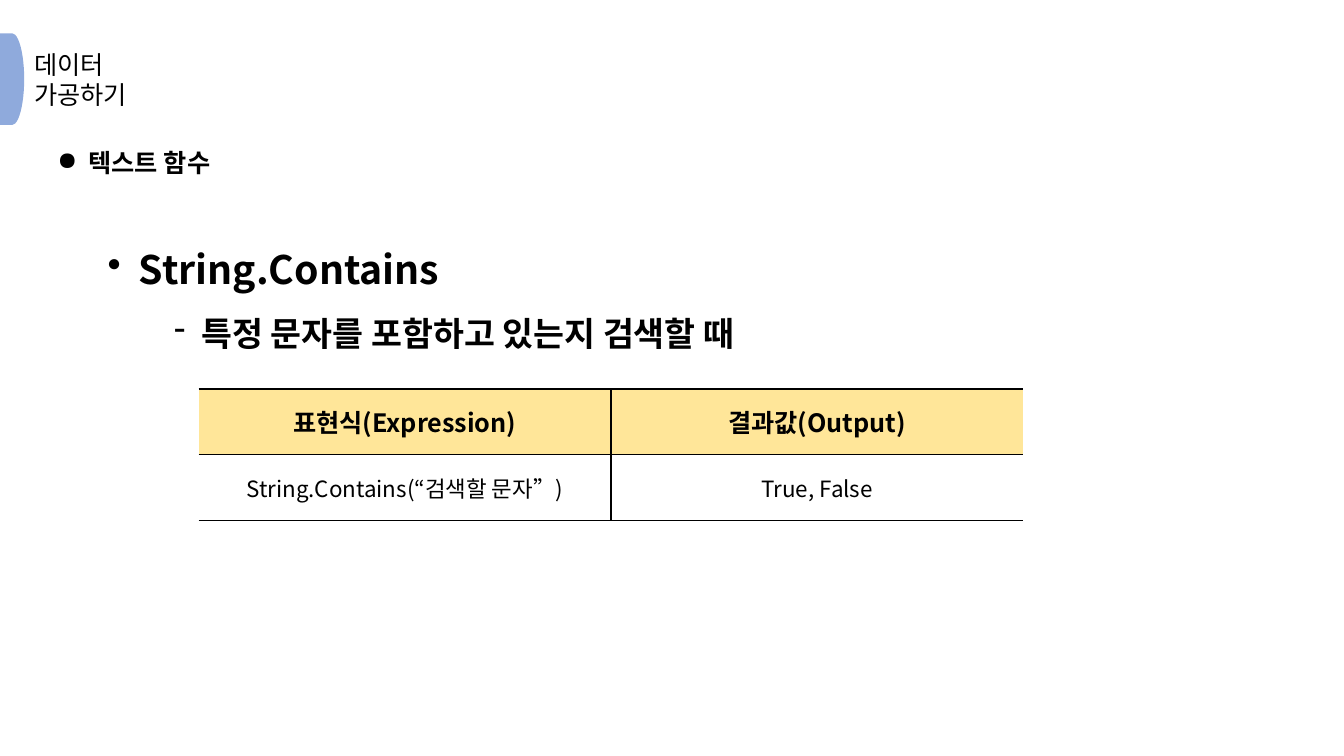
from lxml import etree
from pptx import Presentation
from pptx.dml.color import RGBColor
from pptx.enum.shapes import MSO_SHAPE
from pptx.enum.text import MSO_ANCHOR, PP_ALIGN
from pptx.oxml.ns import qn
from pptx.util import Inches, Pt

LEFT, CENTER = PP_ALIGN.LEFT, PP_ALIGN.CENTER
MIDDLE, TOP = MSO_ANCHOR.MIDDLE, MSO_ANCHOR.TOP
DELAY = MSO_SHAPE.FLOWCHART_DELAY
FONT = "Noto Sans CJK KR"


def color(value):
    return RGBColor.from_string(value)


def style(para, size, bold, align):
    para.alignment = align
    para.font.size = Pt(size)
    para.font.bold = bold
    para.font.color.rgb = color("000000")
    para.font.name = FONT
    for span in para.runs:
        east_asian = etree.SubElement(span.font._element, qn("a:ea"))
        east_asian.set("typeface", FONT)


deck = Presentation()
deck.slide_width = Inches(13.33)
deck.slide_height = Inches(7.5)
page = deck.slides.add_slide(deck.slide_layouts[5])

title = page.shapes.title
title.left, title.top = Inches(0.24), Inches(0.43)
title.width, title.height = Inches(1.15), Inches(0.71)
title.text_frame.text = "데이터\n가공하기"
title.text_frame.word_wrap = False
title.text_frame.vertical_anchor = MIDDLE
for para in title.text_frame.paragraphs:
    style(para, 18, False, LEFT)

tab = page.shapes.add_shape(DELAY, 0, Inches(0.33), Inches(0.24), Inches(0.91))
tab.shadow.inherit = False
tab.fill.solid()
tab.fill.fore_color.rgb = color("8FAADC")
tab.line.fill.background()

outline = page.shapes.add_textbox(Inches(0.47), Inches(1.26), Inches(7.2), Inches(2.34))
frame = outline.text_frame
frame.word_wrap = True
frame.vertical_anchor = TOP
outline_rows = [
    ("●", "텍스트 함수", 18, 0, 0.31, 0.31, 0),
    ("•", "String.Contains", 28, 1, 0.81, 0.31, 32),
    ("-", "특정 문자를 포함하고 있는지 검색할 때", 24, 2, 1.43, 0.27, 0),
]
for index, (bullet, text, size, level, margin, hanging, gap) in enumerate(outline_rows):
    para = frame.add_paragraph() if index else frame.paragraphs[0]
    para.text = text
    para.level = level
    para.line_spacing = 1.5
    para.space_before = Pt(gap)
    style(para, size, True, LEFT)
    properties = para._p.get_or_add_pPr()
    properties.set("marL", str(Inches(margin)))
    properties.set("indent", str(-Inches(hanging)))
    mark = etree.Element(qn("a:buChar"), char=bullet)
    properties.find(qn("a:defRPr")).addprevious(mark)

table_rows = [
    ["표현식(Expression)", "결과값(Output)"],
    ["String.Contains(“검색할 문자”)", "True, False"],
]
table = page.shapes.add_table(
    2, 2, Inches(1.97), Inches(3.86), Inches(8.18), Inches(1.3)
).table
for row_index, texts in enumerate(table_rows):
    header = row_index == 0
    table.rows[row_index].height = Inches(0.65)
    for column_index, text in enumerate(texts):
        cell = table.cell(row_index, column_index)
        cell.text = text
        cell.vertical_anchor = MIDDLE
        style(cell.text_frame.paragraphs[0], 18 if header else 16, header, CENTER)
        properties = cell._tc.get_or_add_tcPr()
        inner_side = "lnL" if column_index else "lnR"
        for side in ("lnL", "lnR", "lnT", "lnB"):
            visible = side in ("lnT", "lnB", inner_side)
            border = etree.SubElement(properties, qn(f"a:{side}"), w=str(Pt(1)))
            if visible:
                paint = etree.SubElement(border, qn("a:solidFill"))
                etree.SubElement(paint, qn("a:srgbClr"), val="000000")
            else:
                etree.SubElement(border, qn("a:noFill"))
        if header:
            cell.fill.solid()
            cell.fill.fore_color.rgb = color("FFE699")
        else:
            cell.fill.background()

deck.save("out.pptx")
